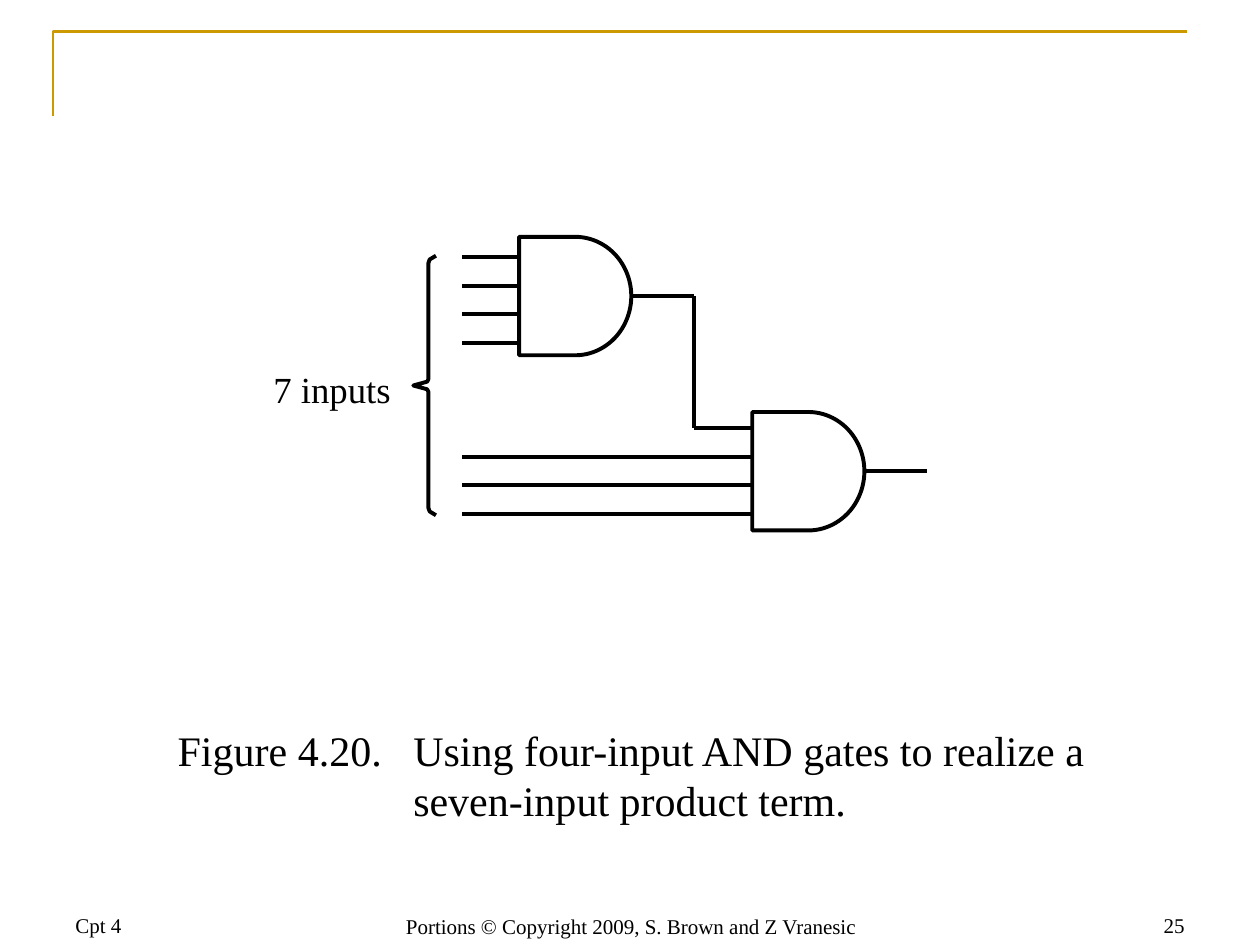
from dataclasses import dataclass

from lxml import etree
from pptx import Presentation
from pptx import util as u
from pptx.dml.color import RGBColor
from pptx.enum import shapes, text
from pptx.oxml.ns import qn

SCALE = 9144


@dataclass(frozen=True)
class Theme:
    """Colours, font, type sizes and line weights."""
    ink: RGBColor = RGBColor(0x00, 0x00, 0x00)
    paper: RGBColor = RGBColor(0xFF, 0xFF, 0xFF)
    accent: RGBColor = RGBColor(0xCC, 0x99, 0x00)
    font: str = "Times New Roman"
    caption: int = 24
    label: int = 21
    footer: int = 12
    wire: float = 2.25
    rule: float = 1.5


THEME = Theme()


def px(length):
    """Turn px into EMU."""
    return u.Emu(round(length * SCALE))


def set_line(shape, colour, weight):
    """Give a shape or connector its line."""
    shape.line.color.rgb = colour
    shape.line.width = u.Pt(weight)


def fill_text(box, words, size, align, inset=(10, 5), anchor=text.MSO_ANCHOR.TOP, wrap=True):
    """Write one paragraph into a text shape and return it."""
    frame = box.text_frame
    frame.auto_size = text.MSO_AUTO_SIZE.NONE
    frame.word_wrap = wrap
    frame.vertical_anchor = anchor
    frame.margin_left = frame.margin_right = px(inset[0])
    frame.margin_top = frame.margin_bottom = px(inset[1])
    para = frame.paragraphs[0]
    para.alignment = align
    span = para.add_run()
    span.text = words
    span.font.name = THEME.font
    span.font.size = u.Pt(size)
    span.font.color.rgb = THEME.ink
    return para


def add_path(page, points, colour, weight):
    """Draw an open outline through the points."""
    start, *rest = points
    builder = page.shapes.build_freeform(*start, scale=SCALE)
    builder.add_line_segments(rest, close=False)
    path = builder.convert_to_shape()
    path.shadow.inherit = False
    path.fill.background()
    set_line(path, colour, weight)


def add_wire(page, start, end):
    """Draw a straight wire."""
    wire = page.shapes.add_connector(
        shapes.MSO_CONNECTOR.STRAIGHT, *map(px, (*start, *end)))
    set_line(wire, THEME.ink, THEME.wire)
    etree.SubElement(wire._element.spPr, qn("a:effectLst"))
    return wire


def add_gate(page, left, top, first_pin, pin_starts):
    """Draw an AND gate with its input pins and output; return the output's end."""
    width, height, pitch, reach = 89, 94, 22.6, 50
    gate = page.shapes.add_shape(
        shapes.MSO_SHAPE.FLOWCHART_DELAY, *map(px, (left, top, width, height)))
    gate.shadow.inherit = False
    gate.fill.solid()
    gate.fill.fore_color.rgb = THEME.paper
    set_line(gate, THEME.ink, THEME.wire)
    for index, start in enumerate(pin_starts):
        level = top + first_pin + round(index * pitch)
        add_wire(page, (start, level), (left, level))
    middle = top + height // 2
    end = (left + width + reach, middle)
    output = add_wire(page, (left + width, middle), end)
    output.begin_connect(gate, 3)
    return end


def add_brace(page, left, top, width, height):
    """Draw a left brace with its spine near the tips."""
    spine, middle = left + 12, top + height // 2
    upper = [(left + width, top), (spine + 1, top + 3), (spine, top + 6),
             (spine, middle - 5), (spine - 1, middle - 3), (left, middle)]
    lower = [(x, 2 * middle - y) for x, y in reversed(upper[:-1])]
    add_path(page, upper + lower, THEME.ink, THEME.wire)


def add_circuit(page, left, top):
    """Draw the two gates, their wires and the labelled inputs."""
    inputs = left + 150
    corner = add_gate(page, left + 195, top, 16, [inputs] * 4)
    add_gate(page, left + 380, top + 139, 13, [corner[0]] + [inputs] * 3)
    add_wire(page, corner, (corner[0], top + 152))
    add_brace(page, left + 111, top + 15, 18, 206)
    label = page.shapes.add_textbox(*map(px, (left, top + 103, 110, 35)))
    fill_text(label, "7 inputs", THEME.label, text.PP_ALIGN.LEFT, (0, 0), wrap=False)


def add_caption(page, left, top, width, height):
    """Place the title as a caption with a hanging indent."""
    title = page.shapes.title
    title.left, title.top, title.width, title.height = map(px, (left, top, width, height))
    para = fill_text(
        title, "Figure 4.20.\tUsing four-input AND gates to realize a seven-input product term.",
        THEME.caption, text.PP_ALIGN.LEFT)
    properties = para._p.get_or_add_pPr()
    properties.set("marL", str(px(203)))
    properties.set("indent", str(-px(187)))


def add_footer(page, left, top):
    """Place the chapter, copyright and page number."""
    parts = [("Cpt 4", 0, 0, 233, text.PP_ALIGN.LEFT),
             ("Portions © Copyright 2009, S. Brown and Z Vranesic", 233, 1, 436,
              text.PP_ALIGN.CENTER),
             ("25", 667, 0, 233, text.PP_ALIGN.RIGHT)]
    for words, across, down, width, align in parts:
        box = page.shapes.add_textbox(*map(px, (left + across, top + down, width, 50)))
        fill_text(box, words, THEME.footer, align, anchor=text.MSO_ANCHOR.BOTTOM)


def add_frame(page, left, top, width, height):
    """Draw the corner rule along the top and left."""
    add_path(page, [(left, top + height), (left, top), (left + width, top)],
             THEME.accent, THEME.rule)


def main():
    """Build the slide and save it."""
    deck = Presentation()
    deck.slide_width, deck.slide_height = px(1000), px(750)
    page = deck.slides.add_slide(deck.slide_layouts[5])
    page.background.fill.solid()
    page.background.fill.fore_color.rgb = THEME.paper
    add_frame(page, 42, 25, 900, 67)
    add_footer(page, 50, 699)
    add_caption(page, 115, 570, 770, 121)
    add_circuit(page, 217, 188)
    deck.save("out.pptx")


if __name__ == "__main__":
    main()
